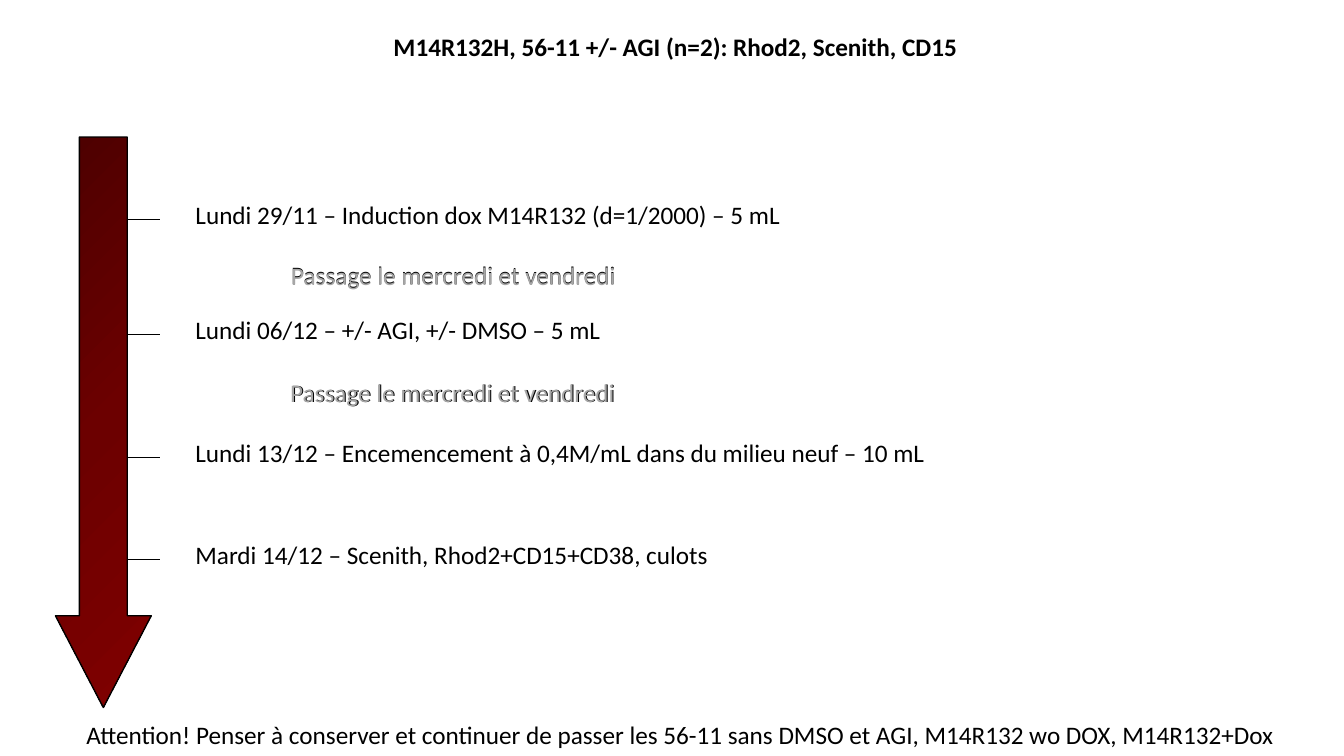
"""Builds the timeline slide of the M14R132H / 56-11 experiment."""
import copy
import dataclasses

import lxml.etree
import pptx
import pptx.dml.color
import pptx.enum.shapes
import pptx.enum.text
import pptx.oxml.ns
import pptx.util

Inches = pptx.util.Inches


@dataclasses.dataclass(frozen=True)
class Theme:
    font: str = "Calibri"
    size: int = 18
    ink: str = "000000"
    muted: str = "A6A6A6"
    gradient: tuple = ((0, "4C0000"), (0.5, "6C0000"), (1, "800000"))
    outline: float = 1
    tick: float = 0.5


def rgb(code):
    return pptx.dml.color.RGBColor.from_string(code)


class TimelineSlide:
    def __init__(self, slide, theme):
        self.slide = slide
        self.theme = theme

    def set_text(self, shape, text, color, wrap):
        frame = shape.text_frame
        frame.text = text
        frame.word_wrap = wrap
        frame.auto_size = pptx.enum.text.MSO_AUTO_SIZE.SHAPE_TO_FIT_TEXT
        frame.vertical_anchor = pptx.enum.text.MSO_ANCHOR.TOP
        font = frame.paragraphs[0].font
        font.name = self.theme.font
        font.size = pptx.util.Pt(self.theme.size)
        font.color.rgb = rgb(color)
        return frame.paragraphs[0]

    def title(self, text, left, top, width, height):
        heading = self.slide.shapes.title
        heading.left, heading.top = Inches(left), Inches(top)
        heading.width, heading.height = Inches(width), Inches(height)
        paragraph = self.set_text(heading, text, self.theme.ink, True)
        paragraph.alignment = pptx.enum.text.PP_ALIGN.CENTER
        paragraph.font.bold = True

    def label(self, text, left, top, width, color=None):
        box = self.slide.shapes.add_textbox(
            Inches(left), Inches(top), Inches(width), Inches(0.4))
        self.set_text(box, text, color or self.theme.ink, False)

    def time_arrow(self, left, top, width, height):
        arrow = self.slide.shapes.add_shape(
            pptx.enum.shapes.MSO_SHAPE.DOWN_ARROW,
            Inches(left), Inches(top), Inches(width), Inches(height))
        arrow.adjustments[0] = 0.5
        arrow.adjustments[1] = 0.958
        arrow.shadow.inherit = False
        arrow.line.color.rgb = rgb(self.theme.ink)
        arrow.line.width = pptx.util.Pt(self.theme.outline)
        arrow.fill.gradient()
        arrow.fill.gradient_angle = 315
        stop_list = arrow.element.xpath(".//a:gsLst")[0]
        stop_list.insert(1, copy.deepcopy(stop_list[0]))
        for stop, (position, color) in zip(arrow.fill.gradient_stops, self.theme.gradient):
            stop.position = position
            stop.color.rgb = rgb(color)

    def tick(self, start, end, y):
        mark = self.slide.shapes.add_connector(
            pptx.enum.shapes.MSO_CONNECTOR.STRAIGHT,
            Inches(start), Inches(y), Inches(end), Inches(y))
        mark.line.color.rgb = rgb(self.theme.ink)
        mark.line.width = pptx.util.Pt(self.theme.tick)
        lxml.etree.SubElement(mark.element.spPr, pptx.oxml.ns.qn("a:effectLst"))

    def step(self, text, y, width):
        self.tick(1.26, 1.59, y)
        self.label(text, 1.84, y - 0.25, width)


STEPS = (
    ("Lundi 29/11 – Induction dox M14R132 (d=1/2000) – 5 mL", 2.18, 6.08),
    ("Lundi 06/12 – +/- AGI, +/- DMSO – 5 mL", 3.32, 4.27),
    ("Lundi 13/12 – Encemencement à 0,4M/mL dans du milieu neuf – 10 mL", 4.54, 7.53),
    ("Mardi 14/12 – Scenith, Rhod2+CD15+CD38, culots", 5.55, 5.35),
)


def main():
    deck = pptx.Presentation()
    deck.slide_width, deck.slide_height = Inches(13.33), Inches(7.5)
    theme = Theme()
    timeline = TimelineSlide(deck.slides.add_slide(deck.slide_layouts[5]), theme)

    timeline.time_arrow(0.55, 1.36, 0.95, 5.66)
    timeline.title("M14R132H, 56-11 +/- AGI (n=2): Rhod2, Scenith, CD15",
                   0.55, 0.26, 12.3, 0.4)
    for text, y, width in STEPS:
        timeline.step(text, y, width)
    for left, top, color in ((2.79, 2.52, theme.ink), (2.79, 3.69, theme.ink),
                             (2.79, 2.53, theme.muted), (2.78, 3.69, theme.muted)):
        timeline.label("Passage le mercredi et vendredi", left, top, 3.46, color)
    timeline.label("Attention! Penser à conserver et continuer de passer les 56-11 "
                   "sans DMSO et AGI, M14R132 wo DOX, M14R132+Dox", 0.76, 7.09, 12.16)
    deck.save("out.pptx")


if __name__ == "__main__":
    main()
